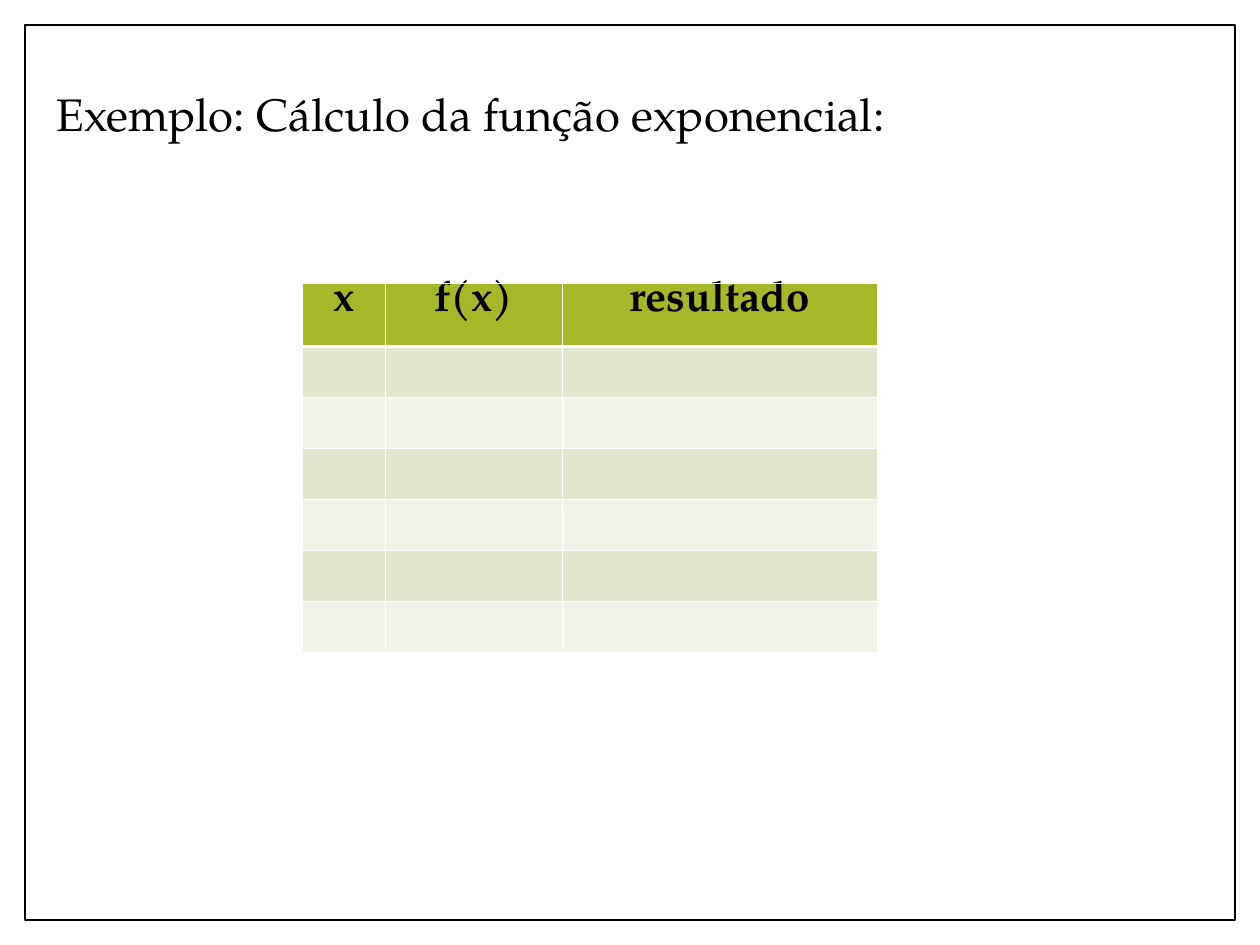
from dataclasses import dataclass
from typing import Any

from lxml.etree import SubElement
from pptx import Presentation
from pptx.dml.color import RGBColor
from pptx.enum.shapes import MSO_SHAPE
from pptx.enum.text import MSO_ANCHOR, PP_ALIGN
from pptx.oxml.ns import qn
from pptx.util import Inches, Pt

COLORS = {
    "ink": "000000",
    "paper": "FFFFFF",
    "header": "A6B727",
    "odd": "E1E6CD",
    "even": "F1F3E8",
}


@dataclass
class SlideBuilder:
    deck: Any
    page: Any
    font: str = "TeX Gyre Pagella"

    def color(self, name):
        return RGBColor.from_string(COLORS[name])

    def area(self, left, top, width, height):
        wide, high = self.deck.slide_width, self.deck.slide_height
        return [round(share * side) for share, side in
                zip((left, top, width, height), (wide, high, wide, high))]

    def format_text(self, para, size, align, bold=False):
        para.alignment = align
        for span in para.runs:
            span.font.name = self.font
            span.font.size = Pt(size)
            span.font.bold = bold
            span.font.color.rgb = self.color("ink")

    def title(self, text, *shares):
        box = self.page.shapes.title
        box.left, box.top, box.width, box.height = self.area(*shares)
        frame = box.text_frame
        frame.text = text
        frame.word_wrap = True
        frame.vertical_anchor = MSO_ANCHOR.TOP
        para = frame.paragraphs[0]
        para.line_spacing = 0.9
        self.format_text(para, 26, PP_ALIGN.LEFT)

    def border(self, *shares):
        box = self.page.shapes.add_shape(MSO_SHAPE.RECTANGLE, *self.area(*shares))
        box.shadow.inherit = False
        box.fill.solid()
        box.fill.fore_color.rgb = self.color("paper")
        box.line.color.rgb = self.color("ink")
        box.line.width = Pt(1)
        self.page.shapes.title.element.addprevious(box.element)

    def cell_borders(self, cell, row):
        properties = cell._tc.get_or_add_tcPr()
        thick = {0: "lnB", 1: "lnT"}.get(row)
        for position, side in enumerate(("lnL", "lnR", "lnT", "lnB")):
            width = Pt(1.47 if side == thick else 0.45)
            line = SubElement(properties, qn(f"a:{side}"), w=str(width))
            fill = SubElement(line, qn("a:solidFill"))
            SubElement(fill, qn("a:srgbClr"), val=COLORS["paper"])
            properties.insert(position, line)

    def table(self, headings, widths, heights, left, top):
        shares = (left, top, sum(widths) / 10, sum(heights) / 7.5)
        table = self.page.shapes.add_table(
            len(heights), len(widths), *self.area(*shares)).table
        for column, width in zip(table.columns, widths):
            column.width = Inches(width)
        for index, (row, height) in enumerate(zip(table.rows, heights)):
            row.height = Inches(height)
            name = "header" if index == 0 else ("even", "odd")[index % 2]
            for cell in row.cells:
                cell.margin_top = cell.margin_bottom = 0
                cell.fill.solid()
                cell.fill.fore_color.rgb = self.color(name)
                self.cell_borders(cell, index)
        for cell, heading in zip(table.rows[0].cells, headings):
            cell.text = heading
            para = cell.text_frame.paragraphs[0]
            para.line_spacing = 0.85
            self.format_text(para, 24, PP_ALIGN.CENTER, bold=True)


def main():
    deck = Presentation()
    deck.slide_width, deck.slide_height = Inches(10), Inches(7.5)
    page = deck.slides.add_slide(deck.slide_layouts[5])
    builder = SlideBuilder(deck, page)
    builder.border(0.02, 0.2 / 7.5, 0.96, 7.1 / 7.5)
    builder.title("Exemplo: Cálculo da função exponencial:",
                  0.035, 0.68 / 7.5, 0.89, 0.97 / 7.5)
    builder.table(("x", "f(x)", "resultado"), (0.66, 1.4, 2.5),
                  [0.5] + [0.405] * 6, 0.24, 0.3)
    deck.save("out.pptx")


if __name__ == "__main__":
    main()
